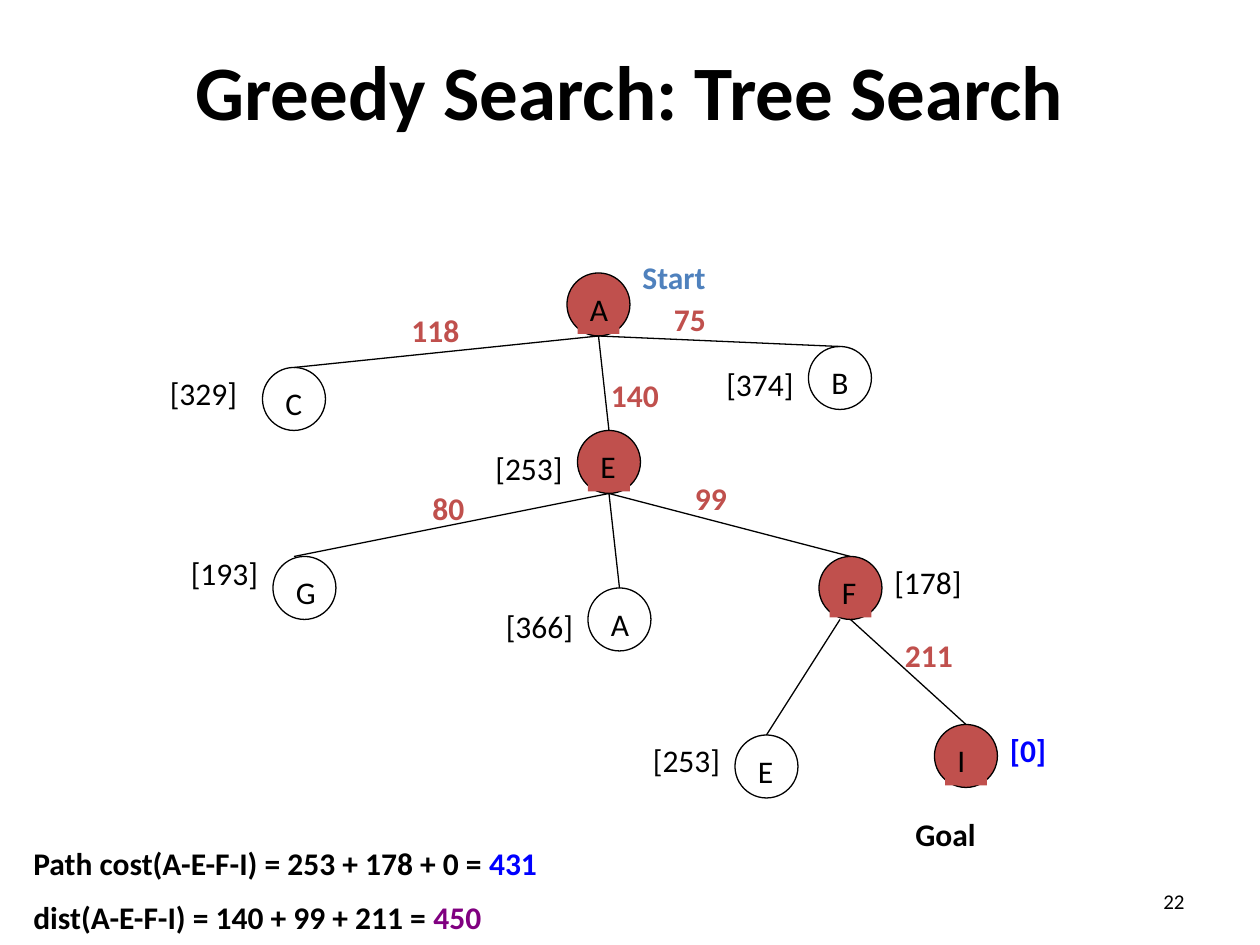
from pptx import Presentation
from pptx import util as u
from pptx.dml.color import RGBColor
from pptx.enum import shapes, text
from lxml import etree

BLACK, RED, BLUE, BRIGHT_BLUE, PURPLE = "000000", "C0504D", "4F81BD", "0000FF", "800080"
DRAWING = "http://schemas.openxmlformats.org/drawingml/2006/main"

presentation = Presentation()
presentation.slide_width, presentation.slide_height = u.Inches(10), u.Inches(7.5)
slide = presentation.slides.add_slide(presentation.slide_layouts[5])

# Grid of 120 columns by 90 rows
UNIT = presentation.slide_width / 120
NODE = 6
TEXT_ROWS = 4.8


def grid(*values):
    return [round(value * UNIT) for value in values]


def write(shape, lines, bold=False, size=18):
    """Fill a shape with paragraphs, each a list of (words, colour) runs."""
    frame = shape.text_frame
    frame.word_wrap = True
    for number, line in enumerate(lines):
        paragraph = frame.paragraphs[0] if number == 0 else frame.add_paragraph()
        if number:
            paragraph.space_before = u.Pt(9)
        for words, colour in line:
            run = paragraph.add_run()
            run.text = words
            run.font.name, run.font.size, run.font.bold = "Calibri", u.Pt(size), bold
            run.font.color.rgb = RGBColor.from_string(colour)


# Title
title = slide.shapes.title
title.left, title.top, title.width, title.height = grid(1, 1, 118, 15)
title.text_frame.vertical_anchor = text.MSO_ANCHOR.MIDDLE
write(title, [[("Greedy Search: Tree Search", BLACK)]], bold=True, size=44)
title.text_frame.paragraphs[0].alignment = text.PP_ALIGN.CENTER

# Nodes: letter, column, row, on the chosen path
nodes = {
    "start": ("A", 54, 26, True),
    "B": ("B", 77, 33, False),
    "C": ("C", 25, 35, False),
    "E": ("E", 55, 41, True),
    "F": ("F", 78, 53, True),
    "I": ("I", 89, 69, True),
    "G": ("G", 26, 53, False),
    "A again": ("A", 56, 56, False),
    "E again": ("E", 70, 70, False),
}
for letter, column, row, chosen in nodes.values():
    circle = slide.shapes.add_shape(shapes.MSO_SHAPE.OVAL, *grid(column, row, NODE, NODE))
    circle.shadow.inherit = False
    circle.line.color.rgb = RGBColor.from_string(BLACK)
    circle.line.width = u.Pt(0.75)
    letter_box = slide.shapes.add_textbox(*grid(column + 1, row + 1, 4, TEXT_ROWS))
    write(letter_box, [[(letter, BLACK)]])
    for shape in (circle, letter_box):
        if chosen:
            shape.fill.solid()
            shape.fill.fore_color.rgb = RGBColor.from_string(RED)
        else:
            shape.fill.background()

# Edges from bottom to top of nodes: parent, child, shift of each end in columns
edges = [
    ("start", "B", 0, 0), ("start", "E", 0, 0), ("start", "C", 0, 0),
    ("E", "F", 0, 0), ("E", "G", 0, -1), ("E", "A again", 0, 0),
    ("F", "I", 0, 0), ("F", "E again", -1, 0),
]
for parent, child, parent_shift, child_shift in edges:
    _, parent_column, parent_row, _ = nodes[parent]
    _, child_column, child_row, _ = nodes[child]
    edge = slide.shapes.add_connector(
        shapes.MSO_CONNECTOR.STRAIGHT,
        *grid(parent_column + NODE / 2 + parent_shift, parent_row + NODE,
              child_column + NODE / 2 + child_shift, child_row))
    edge.line.color.rgb = RGBColor.from_string(BLACK)
    edge.line.width = u.Pt(0.75)
    etree.SubElement(edge._element.spPr, f"{{{DRAWING}}}effectLst")

# Step costs, heuristic values and captions: words, column, row, width, colour, bold
labels = [
    ("118", 38, 29, 10, RED, True),
    ("75", 63, 28, 8, RED, True),
    ("140", 57, 35.2, 10, RED, True),
    ("80", 40, 46, 8, RED, True),
    ("99", 65, 45, 8, RED, True),
    ("211", 85, 60, 10, RED, True),
    ("[374]", 68, 34.2, 11, BLACK, False),
    ("[329]", 15, 35, 11, BLACK, False),
    ("[253]", 46, 42.2, 11, BLACK, False),
    ("[193]", 17, 52.2, 11, BLACK, False),
    ("[366]", 47, 57.2, 11, BLACK, False),
    ("[178]", 84, 53, 11, BLACK, False),
    ("[253]", 61, 70, 11, BLACK, False),
    ("[0]", 95, 69, 11, BRIGHT_BLUE, True),
    ("Start", 60, 24, 16, BLUE, True),
    ("Goal", 86, 77, 16, BLACK, True),
]
for words, column, row, width, colour, bold in labels:
    label = slide.shapes.add_textbox(*grid(column, row, width, TEXT_ROWS))
    write(label, [[(words, colour)]], bold)

# Path totals
totals = slide.shapes.add_textbox(*grid(2, 79.8, 72, 10.2))
write(totals, [
    [("Path cost(A-E-F-I) = 253 + 178 + 0 = ", BLACK), ("431", BRIGHT_BLUE)],
    [("dist(A-E-F-I) = 140 + 99 + 211 = ", BLACK), ("450", PURPLE)],
], bold=True)

# Slide number
page = slide.shapes.add_textbox(*grid(86, 83.4, 28, TEXT_ROWS))
page.text_frame.vertical_anchor = text.MSO_ANCHOR.MIDDLE
write(page, [[("22", BLACK)]], size=12)
page.text_frame.paragraphs[0].alignment = text.PP_ALIGN.RIGHT

presentation.save("out.pptx")
